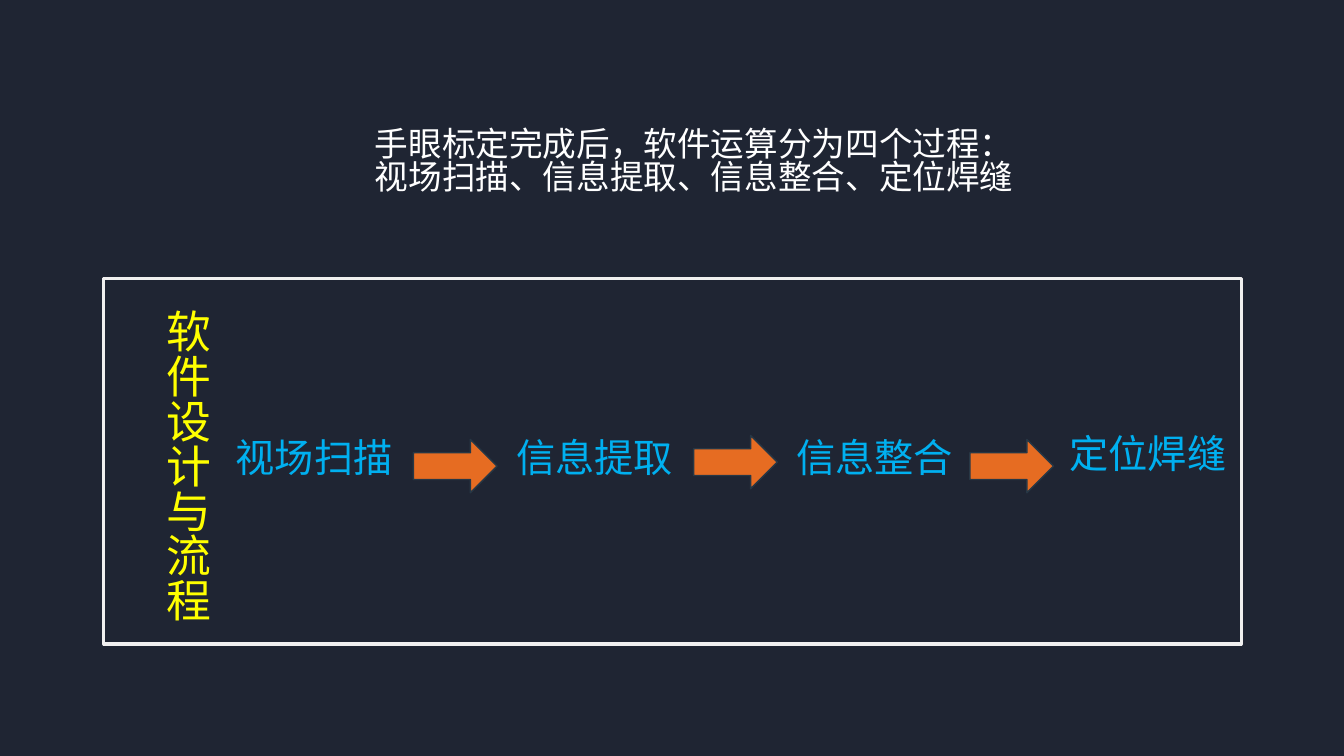
from pptx import Presentation
from pptx.dml.color import RGBColor
from pptx.enum import shapes, text
from pptx.oxml.ns import qn
from pptx.util import Inches, Pt
from lxml import etree

STEPS = ["视场扫描", "信息提取", "信息整合", "定位焊缝"]
STEP_SPOTS = [(2.24, 4.32), (5.02, 4.32), (7.8, 4.32), (10.51, 4.29)]
ARROW_SPOTS = [(4.1, 4.36), (6.88, 4.32), (9.62, 4.36)]
INTRO = ["手眼标定完成后，软件运算分为四个过程：", "、".join(STEPS)]


def rgb(value):
    return RGBColor.from_string(value)


class Deck:
    font = "Noto Sans CJK SC"
    background, frame, edge = "1F2533", "F0F0F0", "273745"
    title, step, arrow_fill, body = "FFFF00", "00B0F0", "E66C22", "FFFFFF"

    def __init__(self):
        self.prs = Presentation()
        self.prs.slide_width, self.prs.slide_height = Inches(13.33), Inches(7.5)
        self.s = self.prs.slides.add_slide(self.prs.slide_layouts[6])
        fill = self.s.background.fill
        fill.solid()
        fill.fore_color.rgb = rgb(self.background)

    def text(self, lines, box, size, color, wrap=False, indent=0, vertical=False):
        sp = self.s.shapes.add_textbox(*map(Inches, box))
        tf = sp.text_frame
        tf.word_wrap = wrap
        tf.auto_size = text.MSO_AUTO_SIZE.SHAPE_TO_FIT_TEXT
        if vertical:
            tf._txBody.bodyPr.set("vert", "eaVert")
        for i, line in enumerate(lines):
            p = tf.add_paragraph() if i else tf.paragraphs[0]
            p.line_spacing = 0.84
            if indent:
                p._p.get_or_add_pPr().set("indent", str(Inches(indent)))
            r = p.add_run()
            r.text = line
            r.font.size, r.font.name = Pt(size), self.font
            r.font.color.rgb = rgb(color)
            ea = etree.Element(qn("a:ea"), typeface=self.font)
            r._r.rPr.find(qn("a:latin")).addnext(ea)

    def shape(self, kind, box, line, width, fill=None):
        sp = self.s.shapes.add_shape(kind, *map(Inches, box))
        sp.shadow.inherit = False
        if fill:
            sp.fill.solid()
            sp.fill.fore_color.rgb = rgb(fill)
        else:
            sp.fill.background()
        sp.line.color.rgb = rgb(line)
        sp.line.width = Pt(width)


def main():
    deck = Deck()
    deck.text(["软件设计与流程"], (1.35, 2.97, 0.74, 3.24), 32, deck.title, vertical=True)
    for step, spot in zip(STEPS, STEP_SPOTS):
        deck.text([step], (*spot, 1.77, 0.57), 28, deck.step)
    for spot in ARROW_SPOTS:
        deck.shape(shapes.MSO_SHAPE.RIGHT_ARROW, (*spot, 0.83, 0.53),
                   deck.edge, 1, deck.arrow_fill)
    deck.shape(shapes.MSO_SHAPE.RECTANGLE, (1.03, 2.76, 11.28, 3.63), deck.frame, 2.25)
    deck.text(INTRO, (2.83, 1.23, 7.39, 0.91), 24, deck.body, wrap=True, indent=0.79)
    deck.prs.save("out.pptx")


if __name__ == "__main__":
    main()
